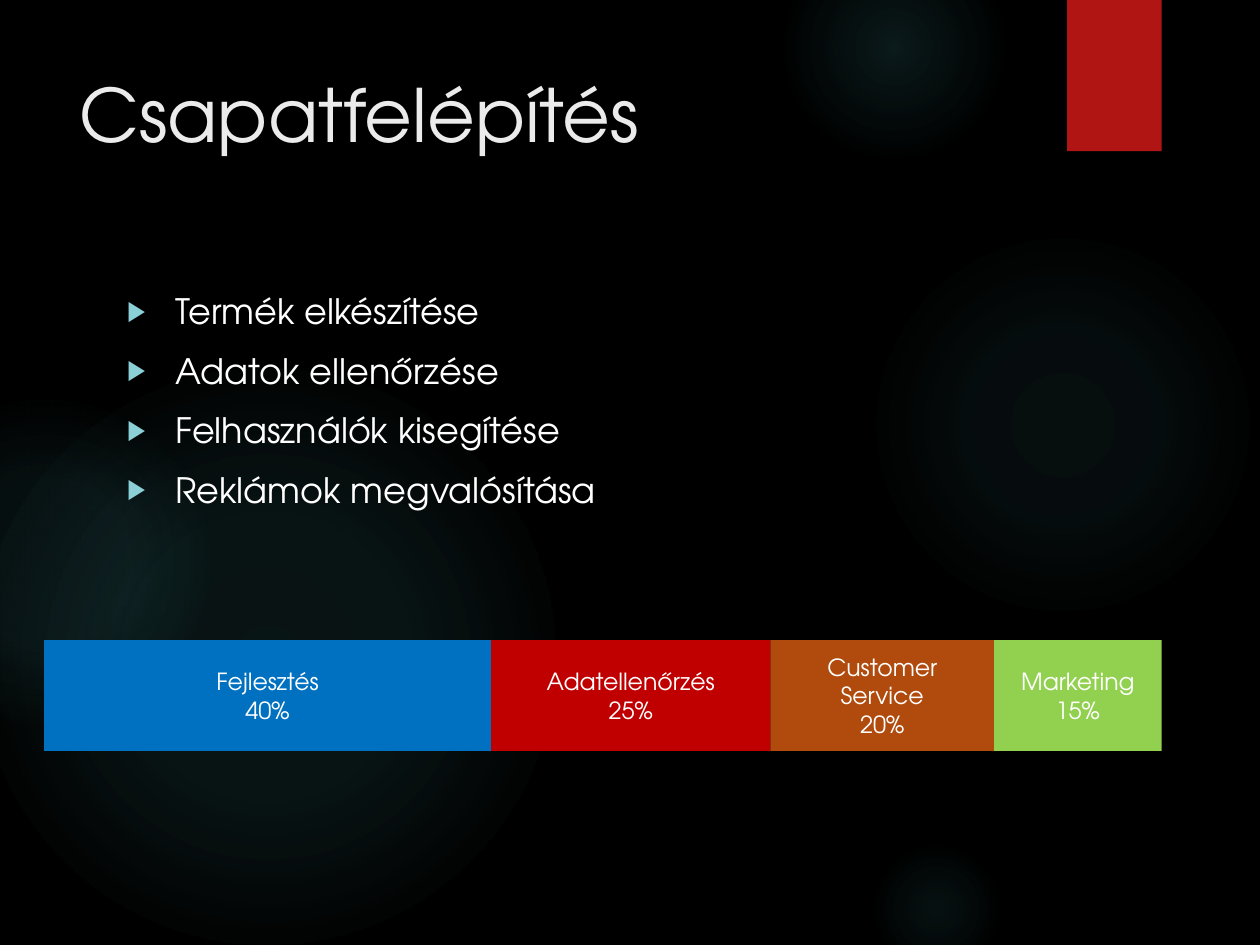
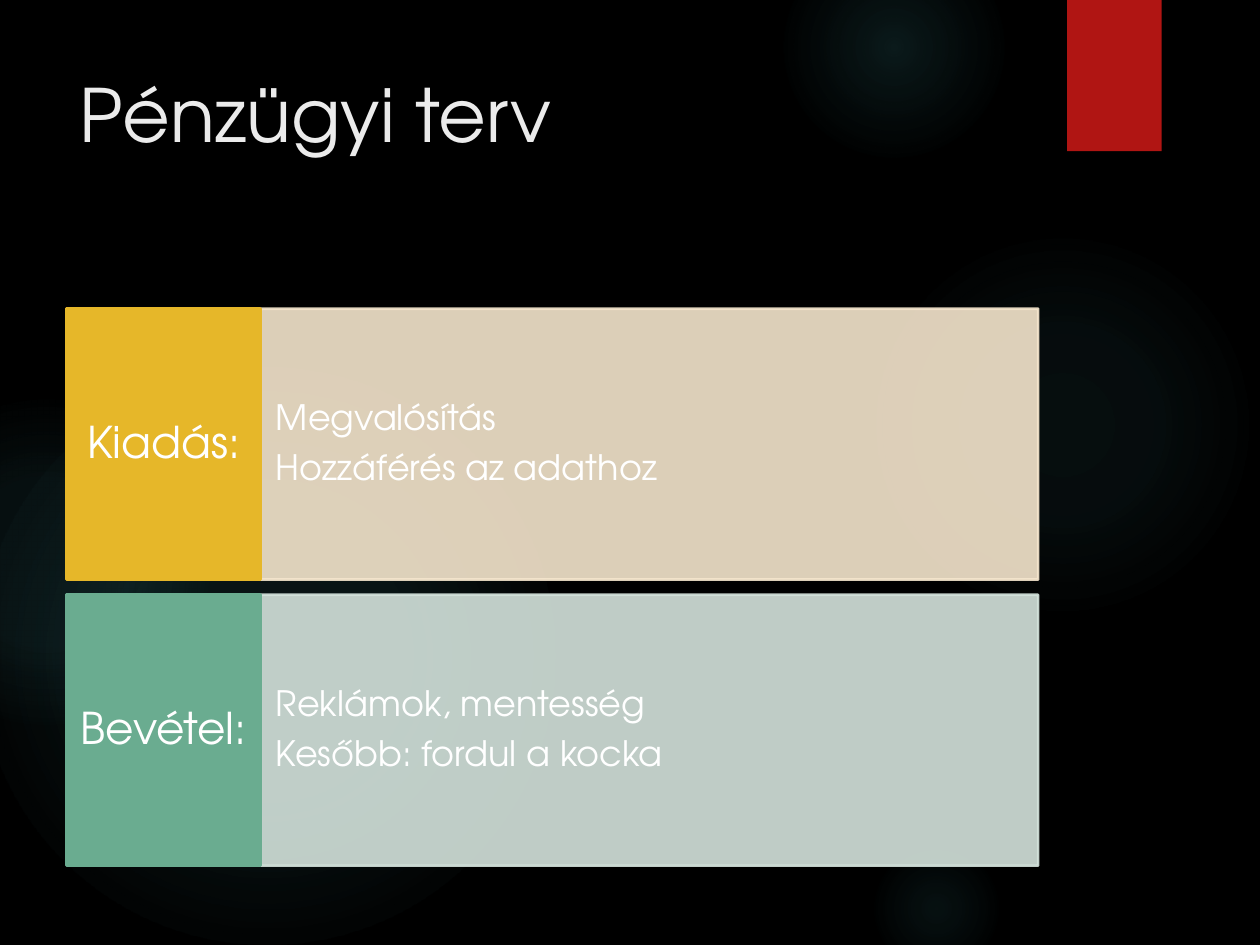
from dataclasses import dataclass

import lxml.etree
import pptx
import pptx.dml.color
import pptx.enum.shapes
import pptx.enum.text
import pptx.oxml
import pptx.oxml.ns
import pptx.util
from pptx.util import Inches

qn = pptx.oxml.ns.qn
ANCHOR = pptx.enum.text.MSO_ANCHOR
ALIGN = pptx.enum.text.PP_ALIGN
SHAPE = pptx.enum.shapes.MSO_SHAPE
FONT = "TeX Gyre Adventor"
COLORS = {
    "background": "000000", "glow": "50B9C1", "tab": "B01513",
    "title": "EBEBEB", "text": "FFFFFF", "bullet": "8AD0D6",
    "development": "0070C0", "checking": "C00000",
    "service": "B04A0D", "marketing": "92D050",
    "cost": "E6B729", "cost_pale": "F5E6CD",
    "income": "6AAC90", "income_pale": "D4E3DC",
}


@dataclass
class Glow:
    left: float
    top: float
    size: float
    center_alpha: int
    middle_alpha: int
    edge: int


@dataclass
class TeamShare:
    name: str
    percent: int
    color: str


@dataclass
class PlanRow:
    heading: str
    lines: list[str]
    color: str


GLOWS = [
    Glow(6.89, 1.83, 3.08, 7, 6, 69),
    Glow(6.22, -0.5, 1.75, 14, 7, 73),
    Glow(6.89, 6.67, 1.08, 9, 5, 66),
    Glow(-0.17, 2.92, 4.58, 11, 10, 75),
    Glow(-0.92, 3.17, 2.58, 8, 8, 72),
]
TASKS = ["Termék elkészítése", "Adatok ellenőrzése",
         "Felhasználók kisegítése", "Reklámok megvalósítása"]
TEAM = [
    TeamShare("Fejlesztés", 40, "development"),
    TeamShare("Adatellenőrzés", 25, "checking"),
    TeamShare("Customer Service", 20, "service"),
    TeamShare("Marketing", 15, "marketing"),
]
PLAN = [
    PlanRow("Kiadás:", ["Megvalósítás", "Hozzáférés az adathoz"], "cost"),
    PlanRow("Bevétel:", ["Reklámok, mentesség", "Kesőbb: fordul a kocka"], "income"),
]


def rgb(name: str) -> pptx.dml.color.RGBColor:
    return pptx.dml.color.RGBColor.from_string(COLORS[name])


def apply(target, values: dict) -> None:
    for name, value in values.items():
        setattr(target, name, value)


def place(sp, left: float, top: float, width: float, height: float) -> None:
    apply(sp, {"left": Inches(left), "top": Inches(top),
               "width": Inches(width), "height": Inches(height)})


def write(tf, lines: list[str], size: float, color: str = "text",
          paragraph: dict | None = None, frame: dict | None = None) -> None:
    apply(tf, {"word_wrap": True, "auto_size": pptx.enum.text.MSO_AUTO_SIZE.NONE,
               **(frame or {})})
    for i, line in enumerate(lines):
        p = tf.paragraphs[0] if i == 0 else tf.add_paragraph()
        p.text = line
        apply(p, {"alignment": ALIGN.LEFT, **(paragraph or {})})
        for r in p.runs:
            apply(r.font, {"name": FONT, "size": pptx.util.Pt(size)})
            r.font.color.rgb = rgb(color)


def add_box(s, left: float, top: float, width: float, height: float,
            color: str, outlined: bool = False, alpha: int = 100):
    sp = s.shapes.add_shape(SHAPE.RECTANGLE, Inches(left), Inches(top),
                            Inches(width), Inches(height))
    sp.shadow.inherit = False
    sp.fill.solid()
    sp.fill.fore_color.rgb = rgb(color)
    if outlined:
        sp.line.color.rgb = rgb(color)
        sp.line.width = pptx.util.Pt(1.5)
    else:
        sp.line.fill.background()
    if alpha < 100:
        for clr in sp.element.spPr.iter(qn("a:srgbClr")):
            lxml.etree.SubElement(clr, qn("a:alpha"), val=str(alpha * 1000))
    return sp


def add_glow(s, glow: Glow):
    sp = s.shapes.add_shape(SHAPE.OVAL, Inches(glow.left), Inches(glow.top),
                            Inches(glow.size), Inches(glow.size))
    sp.shadow.inherit = False
    sp.line.fill.background()
    sp.fill.background()
    stops = "".join(
        f'<a:gs pos="{pos * 1000}"><a:srgbClr val="{COLORS["glow"]}">'
        f'<a:alpha val="{alpha * 1000}"/></a:srgbClr></a:gs>'
        for pos, alpha in [(0, glow.center_alpha), (36, glow.middle_alpha), (glow.edge, 0)])
    gradient = pptx.oxml.parse_xml(
        f'<a:gradFill {pptx.oxml.ns.nsdecls("a")}><a:gsLst>{stops}</a:gsLst>'
        '<a:path path="circle"><a:fillToRect l="50000" t="50000" r="50000" b="50000"/>'
        '</a:path></a:gradFill>')
    spPr = sp.element.spPr
    spPr.replace(spPr.find(qn("a:noFill")), gradient)
    return sp


def add_tab(s):
    sp = add_box(s, 8.47, 0, 0.75, 1.2, "tab")
    sp.element.spPr.find(qn("a:effectLst")).append(pptx.oxml.parse_xml(
        f'<a:outerShdw {pptx.oxml.ns.nsdecls("a")} blurRad="38100" dist="25400" '
        'dir="5400000" rotWithShape="0"><a:srgbClr val="000000">'
        '<a:alpha val="45000"/></a:srgbClr></a:outerShdw>'))
    return sp


def decorate_master(prs, s) -> None:
    """Draw the shared backdrop on a slide, then move it behind the master's placeholders."""
    master = prs.slide_master
    master.background.fill.solid()
    master.background.fill.fore_color.rgb = rgb("background")
    backdrop = [add_glow(s, glow) for glow in GLOWS] + [add_tab(s)]
    for i, sp in enumerate(backdrop):
        sp.element.nvSpPr.cNvPr.set("id", str(100 + i))
        master.shapes.element.insert(2 + i, sp.element)


def add_slide(prs, layout: int, title: str):
    s = prs.slides.add_slide(prs.slide_layouts[layout])
    place(s.shapes.title, 0.53, 0.5, 7.72, 1.53)
    write(s.shapes.title.text_frame, [title], 42, "title",
          frame={"vertical_anchor": ANCHOR.TOP})
    return s


def add_bullet(p) -> None:
    pPr = p._p.get_or_add_pPr()
    pPr.set("marL", str(Inches(0.38)))
    pPr.set("indent", str(-Inches(0.38)))
    color = lxml.etree.SubElement(pPr, qn("a:buClr"))
    lxml.etree.SubElement(color, qn("a:srgbClr"), val=COLORS["bullet"])
    lxml.etree.SubElement(pPr, qn("a:buSzPct"), val="80000")
    lxml.etree.SubElement(pPr, qn("a:buChar"), char="▶")


def fill_team_slide(s) -> None:
    body = s.placeholders[1]
    place(body, 0.91, 2.25, 7.34, 4.59)
    write(body.text_frame, TASKS, 20, paragraph={"space_before": pptx.util.Pt(10)},
          frame={"vertical_anchor": ANCHOR.TOP})
    for p in body.text_frame.paragraphs:
        add_bullet(p)

    left, bar_width = 0.35, 8.87
    for share in TEAM:
        width = bar_width * share.percent / 100
        sp = add_box(s, left, 5.08, width, 0.88, share.color)
        write(sp.text_frame, [f"{share.name}\n{share.percent}%"], 13.5,
              paragraph={"alignment": ALIGN.CENTER},
              frame={"vertical_anchor": ANCHOR.MIDDLE,
                     "margin_left": Inches(0.12), "margin_right": Inches(0.12)})
        left += width


def fill_plan_slide(s) -> None:
    left, top, heading_width, detail_width = 0.53, 2.45, 1.54, 6.17
    height, pitch = 2.15, 2.27
    spacing = {"line_spacing": 0.9, "space_after": pptx.util.Pt(7)}
    for i, row in enumerate(PLAN):
        y = top + i * pitch
        detail = add_box(s, left + heading_width, y, detail_width, height,
                         f"{row.color}_pale", outlined=True, alpha=90)
        write(detail.text_frame, row.lines, 20, paragraph=spacing,
              frame={"vertical_anchor": ANCHOR.MIDDLE, "margin_left": Inches(0.12),
                     "margin_right": Inches(0.12)})
        heading = add_box(s, left, y, heading_width, height, row.color, outlined=True)
        write(heading.text_frame, [row.heading], 25,
              paragraph={**spacing, "alignment": ALIGN.CENTER},
              frame={"vertical_anchor": ANCHOR.MIDDLE, "margin_left": Inches(0.08),
                     "margin_right": Inches(0.08)})


def main() -> None:
    prs = pptx.Presentation()
    apply(prs, {"slide_width": Inches(10), "slide_height": Inches(7.5)})
    team = add_slide(prs, 1, "Csapatfelépítés")
    decorate_master(prs, team)
    fill_team_slide(team)
    fill_plan_slide(add_slide(prs, 5, "Pénzügyi terv"))
    prs.save("out.pptx")


if __name__ == "__main__":
    main()
